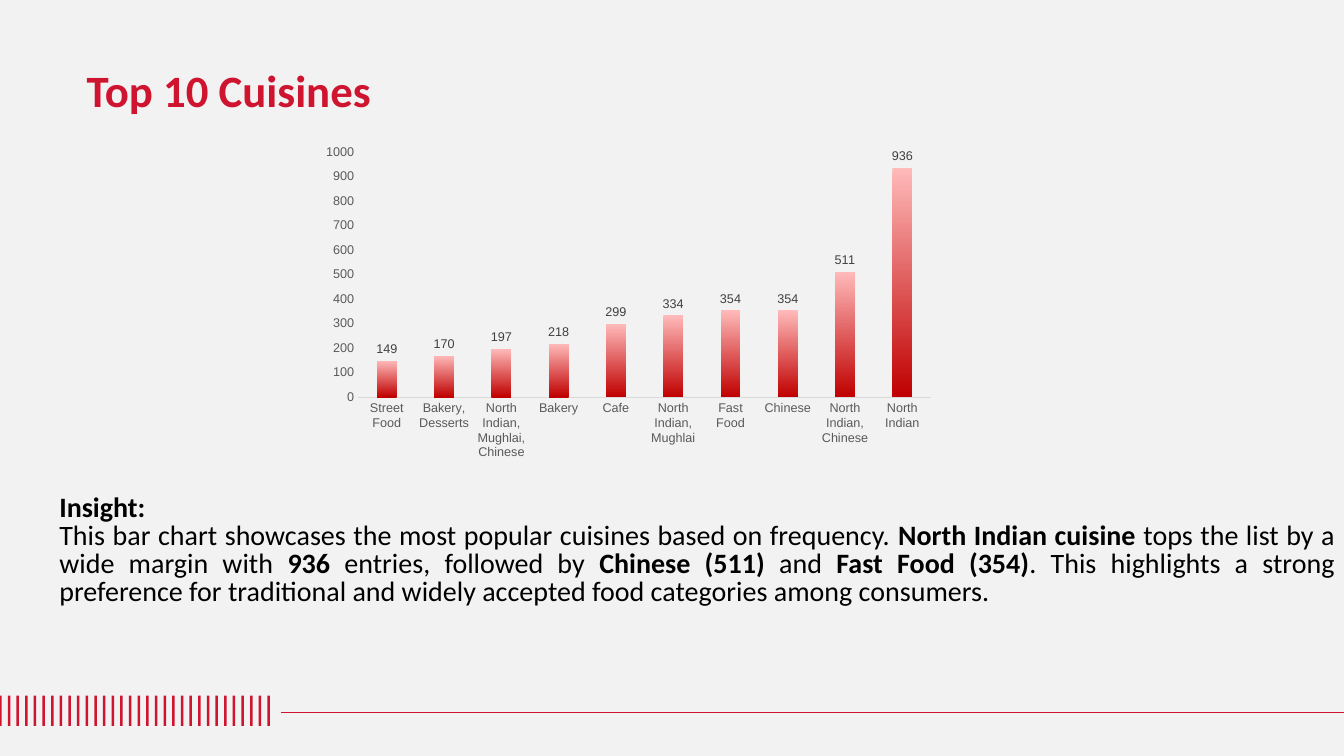
from pptx import Presentation
from pptx.chart.data import CategoryChartData
from pptx.dml.color import RGBColor
from pptx.enum.chart import XL_CHART_TYPE, XL_LABEL_POSITION, XL_TICK_MARK
from pptx.enum.shapes import MSO_CONNECTOR, MSO_SHAPE
from pptx.enum.text import PP_ALIGN
from pptx.oxml.ns import qn
from pptx.util import Pt
from lxml import etree


def rgb(value):
    return RGBColor.from_string(value)


def set_font(font, color, **values):
    for name, value in values.items():
        setattr(font, name, value)
    font.color.rgb = rgb(color)


RED = "CF142F"

prs = Presentation()
prs.slide_width, prs.slide_height = Pt(960), Pt(540)
s = prs.slides.add_slide(prs.slide_layouts[6])
s.background.fill.solid()
s.background.fill.fore_color.rgb = rgb("F2F2F2")

# Footer: row of ticks and a rule
for i in range(32):
    sp = s.shapes.add_shape(MSO_SHAPE.RECTANGLE, Pt(-0.6 + 6.18 * i), Pt(496.9), Pt(1.8), Pt(21.6))
    sp.shadow.inherit = False
    sp.fill.solid()
    sp.fill.fore_color.rgb = rgb(RED)
    sp.line.fill.background()

rule = s.shapes.add_connector(MSO_CONNECTOR.STRAIGHT, Pt(200.9), Pt(509), Pt(960), Pt(509))
rule.line.color.rgb = rgb(RED)
rule.line.width = Pt(0.75)
etree.SubElement(rule._element.spPr, qn("a:effectLst"))

# Chart
cuisines = {
    "Street Food": 149,
    "Bakery, Desserts": 170,
    "North Indian, Mughlai, Chinese": 197,
    "Bakery": 218,
    "Cafe": 299,
    "North Indian, Mughlai": 334,
    "Fast Food": 354,
    "Chinese": 354,
    "North Indian, Chinese": 511,
    "North Indian": 936,
}
data = CategoryChartData()
data.categories = list(cuisines)
data.add_series("Series 1", list(cuisines.values()))
chart = s.shapes.add_chart(XL_CHART_TYPE.COLUMN_CLUSTERED, Pt(224), Pt(98.6), Pt(450), Pt(234.7), data).chart
chart.has_legend = False
chart.has_title = False
set_font(chart.font, "000000", name="Arial", size=Pt(10))

for axis in (chart.category_axis, chart.value_axis):
    axis.has_major_gridlines = False
    axis.major_tick_mark = axis.minor_tick_mark = XL_TICK_MARK.NONE
    set_font(axis.tick_labels.font, "595959", name="Arial", size=Pt(9))
chart.category_axis.format.line.color.rgb = rgb("D9D9D9")
chart.category_axis.format.line.width = Pt(0.75)
chart.value_axis.format.line.fill.background()
chart.value_axis.minimum_scale = 0
chart.value_axis.maximum_scale = 1000
chart.value_axis.major_unit = 100

plot = chart.plots[0]
plot.gap_width, plot.overlap = 190, -27
plot.vary_by_categories = False
series = plot.series[0]
fill = series.format.fill
fill.gradient()
fill.gradient_angle = 270
for stop, position, color in zip(fill.gradient_stops, (0, 1), ("FFBABA", "C00000")):
    stop.position = position
    stop.color.rgb = rgb(color)
labels = series.data_labels
labels.show_value = True
labels.position = XL_LABEL_POSITION.OUTSIDE_END
set_font(labels.font, "404040", name="Arial", size=Pt(9))

# Title and insight: box, size, colour, line spacing, alignment, paragraphs of (text, bold)
texts = [
    ((54.7, 45.4, 490.3, 36.7), 32, RED, 0.9, PP_ALIGN.LEFT, [[("Top 10 Cuisines", True)]]),
    ((35.3, 349.9, 925.2, 112.3), 20, "000000", Pt(20), PP_ALIGN.JUSTIFY, [
        [("Insight:", True)],
        [("This bar chart showcases the most popular cuisines based on frequency. ", False),
         ("North Indian cuisine", True),
         (" tops the list by a wide margin with ", False),
         ("936", True),
         (" entries, followed by ", False),
         ("Chinese (511)", True),
         (" and ", False),
         ("Fast Food (354)", True),
         (". This highlights a strong preference for traditional and widely accepted "
          "food categories among consumers.", False)],
    ]),
]
for box, size, color, spacing, align, paragraphs in texts:
    tf = s.shapes.add_textbox(*map(Pt, box)).text_frame
    tf.word_wrap = True
    for i, runs in enumerate(paragraphs):
        p = tf.add_paragraph() if i else tf.paragraphs[0]
        p.alignment, p.line_spacing = align, spacing
        for text, bold in runs:
            r = p.add_run()
            r.text = text
            set_font(r.font, color, name="Calibri", size=Pt(size), bold=bold)

prs.save("out.pptx")
